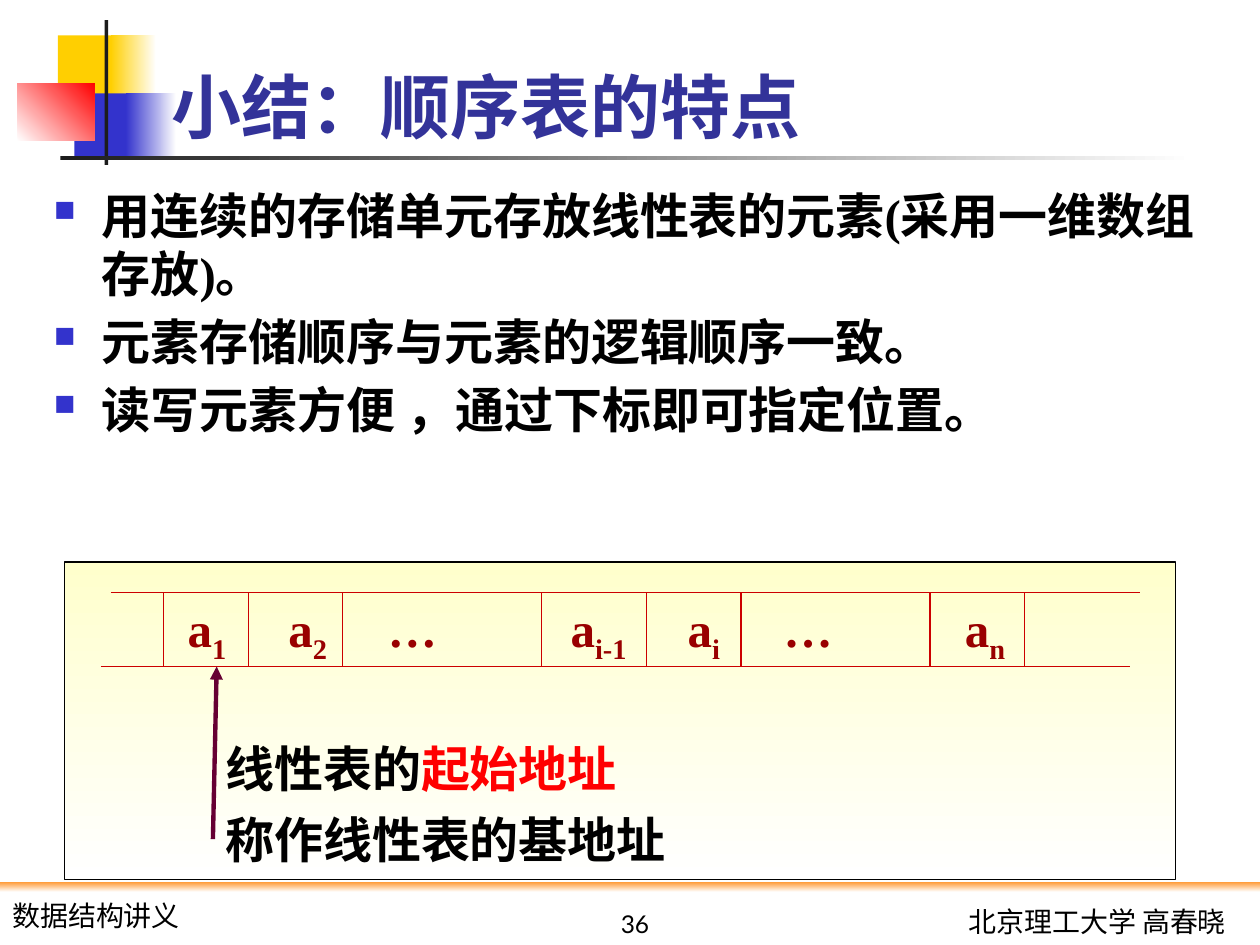
from dataclasses import dataclass

from pptx import Presentation
from pptx.dml.color import RGBColor as Rgb
from pptx.enum.shapes import MSO_CONNECTOR as Link, MSO_SHAPE as Form
from pptx.enum.text import MSO_ANCHOR as Anchor, PP_ALIGN as Align
from pptx.oxml.xmlchemy import OxmlElement as Node
from pptx.util import Inches, Pt

HUES = {
    "white": "FFFFFF", "black": "000000", "ink": "1C1C1C", "gold": "FFCF01",
    "blue": "3333CC", "red": "FF0000", "navy": "333399", "orange": "FF9933",
    "cream": "FFFFCC", "rule": "CC0000", "label": "990000", "plum": "660033",
}
SERIF, SANS = "Times New Roman", "Lato"
COLS, ROWS = 100, 75  # slide grid
STEP = Inches(10) // COLS


@dataclass
class Box:
    """A region in grid columns and rows."""
    x: float
    y: float
    w: float
    h: float

    def sub(self, x, y, w, h):
        return Box(self.x + x, self.y + y, w, h)

    def emu(self):
        return [round(n * STEP) for n in (self.x, self.y, self.w, self.h)]


def tint(name):
    return Rgb.from_string(HUES[name])


def block(slide, box, hue, end=None, turn=0, edge=None):
    """Rectangle, plain or fading from hue to end; turn is anticlockwise."""
    shape = slide.shapes.add_shape(Form.RECTANGLE, *box.emu())
    shape.shadow.inherit = False
    if end:
        shape.fill.gradient()
        shape.fill.gradient_angle = turn
        for stop, name in zip(shape.fill.gradient_stops, (hue, end)):
            stop.color.rgb = tint(name)
    else:
        shape.fill.solid()
        shape.fill.fore_color.rgb = tint(hue)
    if edge:
        shape.line.color.rgb = tint(edge)
        shape.line.width = Pt(0.75)
    else:
        shape.line.fill.background()


def rule(slide, box, start, stop, hue="rule", width=0.75, arrow=False):
    ends = [round(n * STEP) for x, y in (start, stop)
            for n in (box.x + x, box.y + y)]
    line = slide.shapes.add_connector(Link.STRAIGHT, *ends)
    line.line.color.rgb = tint(hue)
    line.line.width = Pt(width)
    if arrow:
        head = Node("a:tailEnd")
        head.set("type", "triangle")
        line.line._get_or_add_ln().append(head)
    line._element.spPr.append(Node("a:effectLst"))


def frame(slide, box, anchor=Anchor.TOP, wrap=True):
    text = slide.shapes.add_textbox(*box.emu()).text_frame
    text.word_wrap = wrap
    text.vertical_anchor = anchor
    return text


def write(para, words, size, hue="black", font=SERIF, bold=True, base=0):
    run = para.add_run()
    run.text = words
    face = run.font
    face.size, face.name, face.bold = Pt(size), font, bold
    face.color.rgb = tint(hue)
    if base:
        run._r.get_or_add_rPr().set("baseline", str(base * 1000))


def lines(text, count):
    yield text.paragraphs[0]
    for _ in range(count - 1):
        yield text.add_paragraph()


def bullet(para):
    props = para._p.get_or_add_pPr()
    hang = Inches(0.38)
    props.set("marL", str(hang))
    props.set("indent", str(-hang))
    color = Node("a:buClr")
    value = Node("a:srgbClr")
    value.set("val", HUES["blue"])
    color.append(value)
    size = Node("a:buSzPct")
    size.set("val", "60000")
    mark = Node("a:buChar")
    mark.set("char", "■")
    props.extend((color, size, mark))


def stops(para, places):
    """Set left tab stops, in grid columns from the text edge."""
    tabs = Node("a:tabLst")
    for place in places:
        tab = Node("a:tab")
        tab.set("pos", str(round(place * STEP)))
        tab.set("algn", "l")
        tabs.append(tab)
    para._p.get_or_add_pPr().append(tabs)


def header(slide, box):
    """Colour blocks, rules and title."""
    for x, y, solid, left, fade, hue in ((3.2, 1.2, 4.8, 7.4, 3.6, "gold"),
                                         (4.5, 5.8, 4.6, 8.6, 4, "blue")):
        block(slide, box.sub(x, y, solid, 5.2), hue)
        block(slide, box.sub(left, y, fade, 5.2), hue, "white")
    block(slide, box.sub(0, 5, 6.1, 4.6), "white", "red", 45)
    block(slide, box.sub(6.9, 0, 0.3, 11.5), "ink")
    block(slide, box.sub(3.4, 10.8, 90, 0.3), "ink", "white")
    title = frame(slide, box.sub(11.2, -0.3, 85.2, 10.9), Anchor.BOTTOM)
    write(title.paragraphs[0], "小结：顺序表的特点", 40, "navy")


def footer(slide, box):
    block(slide, box.sub(0, 0, box.w, 0.8), "orange", "white", 270)
    for place, words, size, align, anchor in (
            ((73.3, 1.3, 25, 3.7), "北京理工大学 高春晓", 16, Align.RIGHT, Anchor.TOP),
            ((0, 0.8, 17.5, 3.7), "数据结构讲义", 16, Align.LEFT, Anchor.TOP),
            ((40, 0, 20.8, 5), "36", 14, Align.CENTER, Anchor.BOTTOM)):
        para = frame(slide, box.sub(*place), anchor).paragraphs[0]
        para.alignment = align
        write(para, words, size, font=SANS, bold=False)


def points(slide, box):
    items = ("用连续的存储单元存放线性表的元素(采用一维数组存放)。",
             "元素存储顺序与元素的逻辑顺序一致。",
             "读写元素方便 ，通过下标即可指定位置。")
    text = frame(slide, box)
    for i, (para, item) in enumerate(zip(lines(text, len(items)), items)):
        bullet(para)
        if i:
            para.space_before = Pt(5)
        write(para, item, 28)


def array(slide, box):
    """Storage row: two long rules, cell walls and element labels."""
    cells = (("a", "1", 0.9), ("a", "2", 8.9), ("…", "", 16.8),
             ("a", "i-1", 31.3), ("a", "i", 40.6), ("…", "", 48.2),
             ("a", "n", 62.6))
    para = frame(slide, box.sub(5, 0, 69.1, 10.3), wrap=False).paragraphs[0]
    stops(para, [place for _, _, place in cells])
    for name, index, _ in cells:
        write(para, "\t" + name, 28, "label")
        if index:
            write(para, index, 28, "label", base=-25)
    for x, y in ((0.8, 0), (0, box.h)):
        rule(slide, box, (x, y), (x + 81.7, y))
    for x in (5, 11.7, 19.2, 35, 43.3, 50.8, 65.8, 73.3):
        rule(slide, box, (x, 0), (x, box.h))
    rule(slide, box, (5.8, box.h), (4.2, box.h))


def diagram(slide, box):
    block(slide, box, "cream", "white", 270, "black")
    text = frame(slide, box.sub(11.8, 12.6, 37.2, 12.2))
    first, second = lines(text, 2)
    first.line_spacing = second.line_spacing = 1.2
    write(first, "线性表的", 28)
    write(first, "起始地址", 28, "red")
    write(second, "称作线性表的基地址", 28)
    array(slide, box.sub(2.9, 2.4, 82.5, 5.9))
    rule(slide, box, (11.8, 22), (12.1, 8.3), "plum", 2.5, arrow=True)


def main():
    deck = Presentation()
    deck.slide_width, deck.slide_height = COLS * STEP, ROWS * STEP
    slide = deck.slides.add_slide(deck.slide_layouts[6])
    header(slide, Box(1.4, 1.6, 97, 11.5))
    footer(slide, Box(0, 70, COLS, 5))
    points(slide, Box(3.3, 14.2, 94.6, 55))
    diagram(slide, Box(5.1, 44.6, 88.2, 25.2))
    deck.save("out.pptx")


if __name__ == "__main__":
    main()
